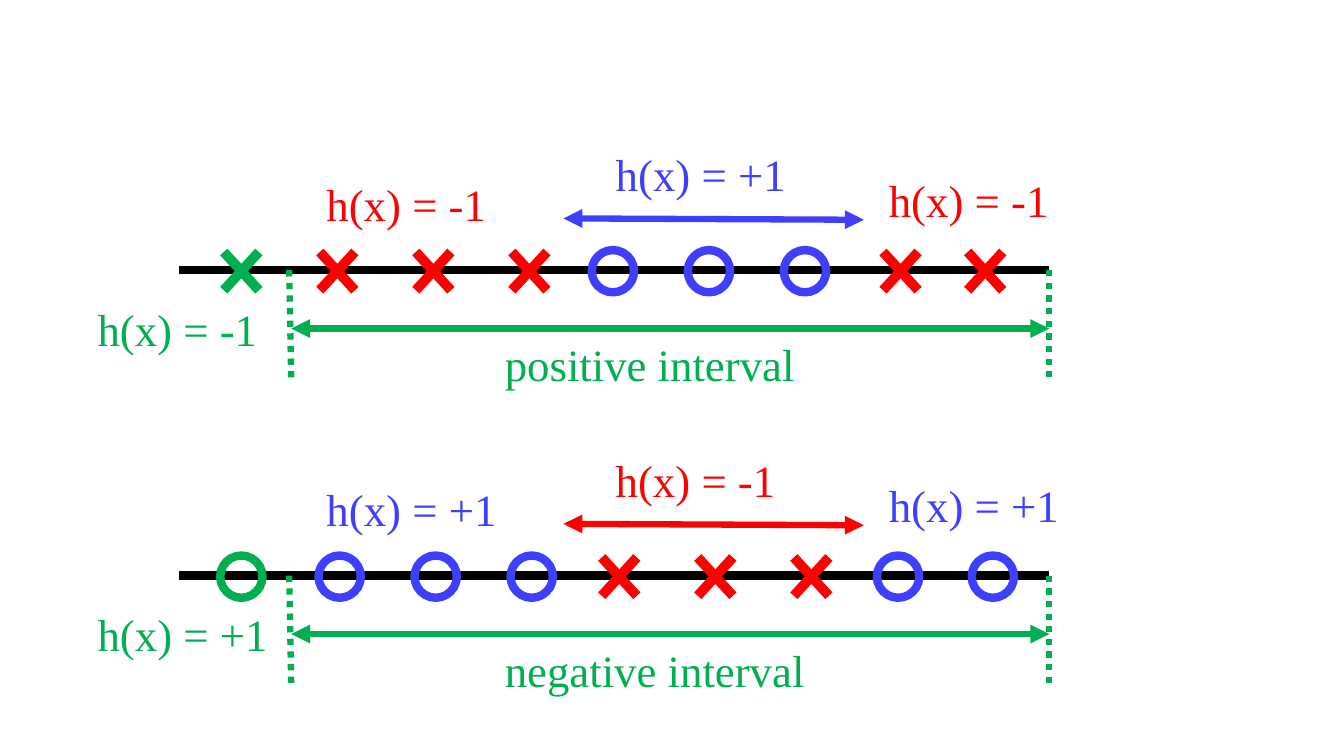
from dataclasses import dataclass

from lxml import etree
from pptx import Presentation
from pptx.dml.color import RGBColor
from pptx.enum.dml import MSO_LINE
from pptx.enum.shapes import MSO_CONNECTOR, MSO_SHAPE
from pptx.oxml.ns import qn
from pptx.shapes.shapetree import GroupShapes
from pptx.util import Pt

CIRCLE = MSO_SHAPE.OVAL
CROSS = MSO_SHAPE.MATH_MULTIPLY
STRAIGHT = MSO_CONNECTOR.STRAIGHT
DOTTED = MSO_LINE.ROUND_DOT


@dataclass(frozen=True)
class Theme:
    axis: RGBColor = RGBColor(0, 0, 0)
    plus: RGBColor = RGBColor(0x3F, 0x3F, 0xFF)
    minus: RGBColor = RGBColor(0xFF, 0, 0)
    interval: RGBColor = RGBColor(0, 0xB0, 0x50)
    font: str = "Times New Roman"
    text_size: float = 32
    heavy: float = 6
    medium: float = 4.5


@dataclass(frozen=True)
class PointRun:
    start: float
    count: int
    pitch: float
    positive: bool
    color: RGBColor


@dataclass(frozen=True)
class Label:
    text: str
    left: float
    rise: float
    width: float
    color: RGBColor


@dataclass(frozen=True)
class Segment:
    start: tuple[float, float]
    end: tuple[float, float]
    color: RGBColor
    weight: float
    dotted: bool = False
    arrows: bool = False


@dataclass(frozen=True)
class NumberLine:
    axis_y: float
    caption: str
    caption_width: float
    outer_positive: bool
    runs: tuple[PointRun, ...]


THEME = Theme()
AXIS_LEFT, AXIS_RIGHT, INTERVAL_LEFT = 128, 749.5, 208
CIRCLE_SIZE, CROSS_WIDTH, CROSS_HEIGHT, CROSS_ARM = 30.2, 48.2, 52.6, 0.146
LABEL_HEIGHT = 46
PITCH = 68.6

NUMBER_LINES = (
    NumberLine(193, "positive interval", 224, False, (
        PointRun(172.4, 1, PITCH, False, THEME.interval),
        PointRun(241, 3, PITCH, False, THEME.minus),
        PointRun(437.8, 3, PITCH, True, THEME.plus),
        PointRun(643.3, 2, 60.5, False, THEME.minus),
    )),
    NumberLine(411.2, "negative interval", 231, True, (
        PointRun(172.4, 1, PITCH, True, THEME.interval),
        PointRun(242.6, 3, PITCH, True, THEME.plus),
        PointRun(442.4, 3, PITCH, False, THEME.minus),
        PointRun(641.5, 2, 67.7, True, THEME.plus),
    )),
)


def draw_segment(shapes: GroupShapes, axis_y: float, segment: Segment) -> None:
    """Draw a line whose heights are relative to the axis."""
    (x1, y1), (x2, y2) = segment.start, segment.end
    stroke = shapes.add_connector(
        STRAIGHT, Pt(x1), Pt(axis_y + y1), Pt(x2), Pt(axis_y + y2))
    stroke.line.color.rgb = segment.color
    stroke.line.width = Pt(segment.weight)
    if segment.dotted:
        stroke.line.dash_style = DOTTED
    if segment.arrows:
        outline = stroke.line._get_or_add_ln()
        for end in ("a:headEnd", "a:tailEnd"):
            etree.SubElement(outline, qn(end), type="triangle")
    etree.SubElement(stroke._element.spPr, qn("a:effectLst"))


def draw_run(shapes: GroupShapes, axis_y: float, run: PointRun) -> None:
    """Draw evenly spaced points, circles for positive and crosses for negative."""
    width, height = (CIRCLE_SIZE,) * 2 if run.positive else (CROSS_WIDTH, CROSS_HEIGHT)
    for index in range(run.count):
        center = run.start + index * run.pitch
        point = shapes.add_shape(
            CIRCLE if run.positive else CROSS, Pt(center - width / 2),
            Pt(axis_y + 0.7 - height / 2), Pt(width), Pt(height))
        point.shadow.inherit = False
        if run.positive:
            point.fill.background()
            point.line.color.rgb = run.color
            point.line.width = Pt(THEME.heavy)
        else:
            point.adjustments[0] = CROSS_ARM
            point.fill.solid()
            point.fill.fore_color.rgb = run.color
            point.line.fill.background()


def draw_label(shapes: GroupShapes, axis_y: float, label: Label) -> None:
    """Write one label at its height above or below the axis."""
    box = shapes.add_textbox(
        Pt(label.left), Pt(axis_y - label.rise), Pt(label.width), Pt(LABEL_HEIGHT))
    box.text_frame.word_wrap = True
    words = box.text_frame.paragraphs[0].add_run()
    words.text = label.text
    formats = {"name": THEME.font, "size": Pt(THEME.text_size)}
    for attribute, value in formats.items():
        setattr(words.font, attribute, value)
    words.font.color.rgb = label.color


def value_label(positive: bool, left: float, rise: float, color: RGBColor) -> Label:
    """Describe the label that gives the value of h(x)."""
    sign, width = ("+", 147.6) if positive else ("-", 139.7)
    return Label(f"h(x) = {sign}1", left, rise, width, color)


def draw_number_line(shapes: GroupShapes, row: NumberLine) -> None:
    """Draw an axis with its points, spans and labels."""
    outer, inner = row.outer_positive, not row.outer_positive
    outer_color, inner_color = (
        THEME.plus if positive else THEME.minus for positive in (outer, inner))
    green, medium = THEME.interval, THEME.medium
    draw_segment(shapes, row.axis_y, Segment(
        (AXIS_LEFT, 0), (AXIS_RIGHT, 0), THEME.axis, THEME.heavy))
    for run in row.runs:
        draw_run(shapes, row.axis_y, run)
    for segment in (
        Segment((402.5, -37), (617, -36), inner_color, medium, arrows=True),
        Segment((206.6, 0), (INTERVAL_LEFT, 77), green, medium, dotted=True),
        Segment((AXIS_RIGHT, 0), (AXIS_RIGHT, 77), green, medium, dotted=True),
        Segment((INTERVAL_LEFT, 41.7), (AXIS_RIGHT, 41.7), green, medium, arrows=True),
    ):
        draw_segment(shapes, row.axis_y, segment)
    for label in (
        value_label(inner, 432.7, 91.4, inner_color),
        value_label(outer, 226.1, 70.6, outer_color),
        value_label(outer, 62.6, -18.7, green),
        Label(row.caption, 353.5, -44, row.caption_width, green),
        value_label(outer, 627.8, 73.4, outer_color),
    ):
        draw_label(shapes, row.axis_y, label)


def main() -> None:
    """Build the slide and save it."""
    deck = Presentation()
    deck.slide_width, deck.slide_height = Pt(960), Pt(540)
    slide = deck.slides.add_slide(deck.slide_layouts[6])
    for row in NUMBER_LINES:
        draw_number_line(slide.shapes.add_group_shape().shapes, row)
    deck.save("out.pptx")


main()
